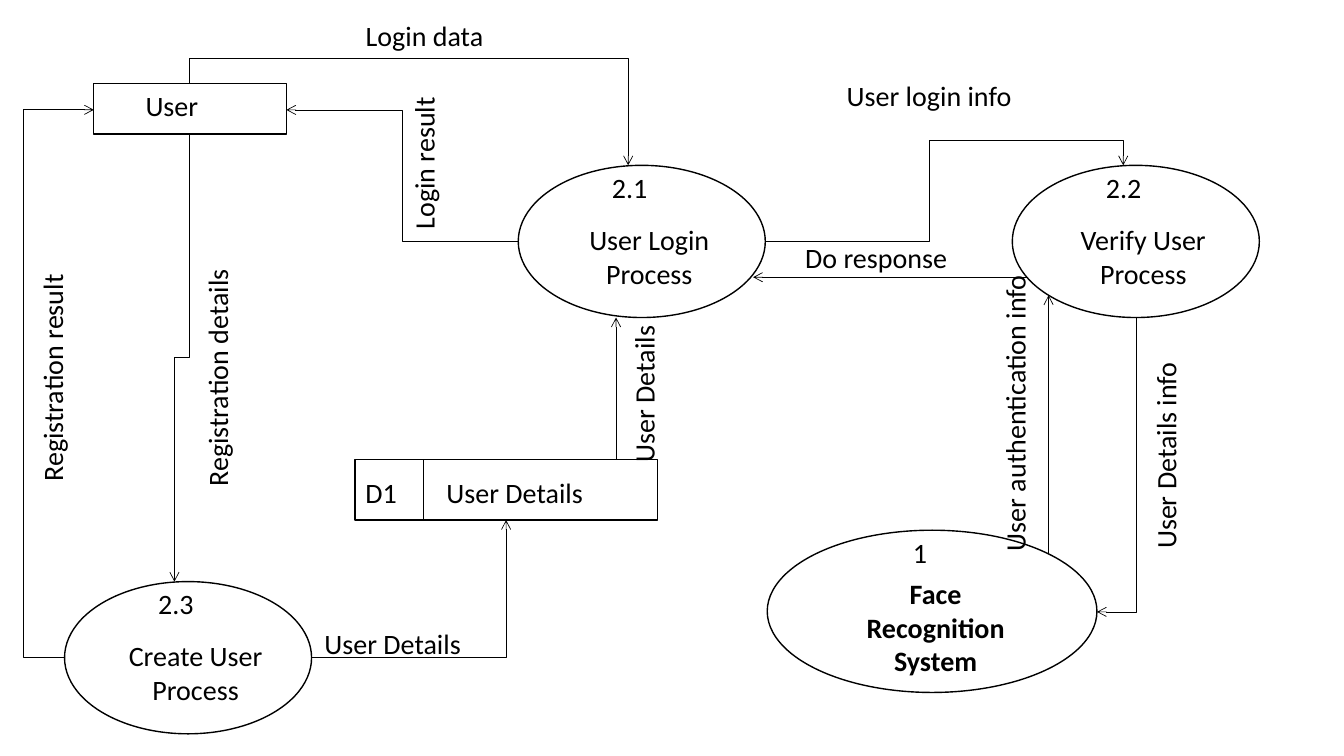
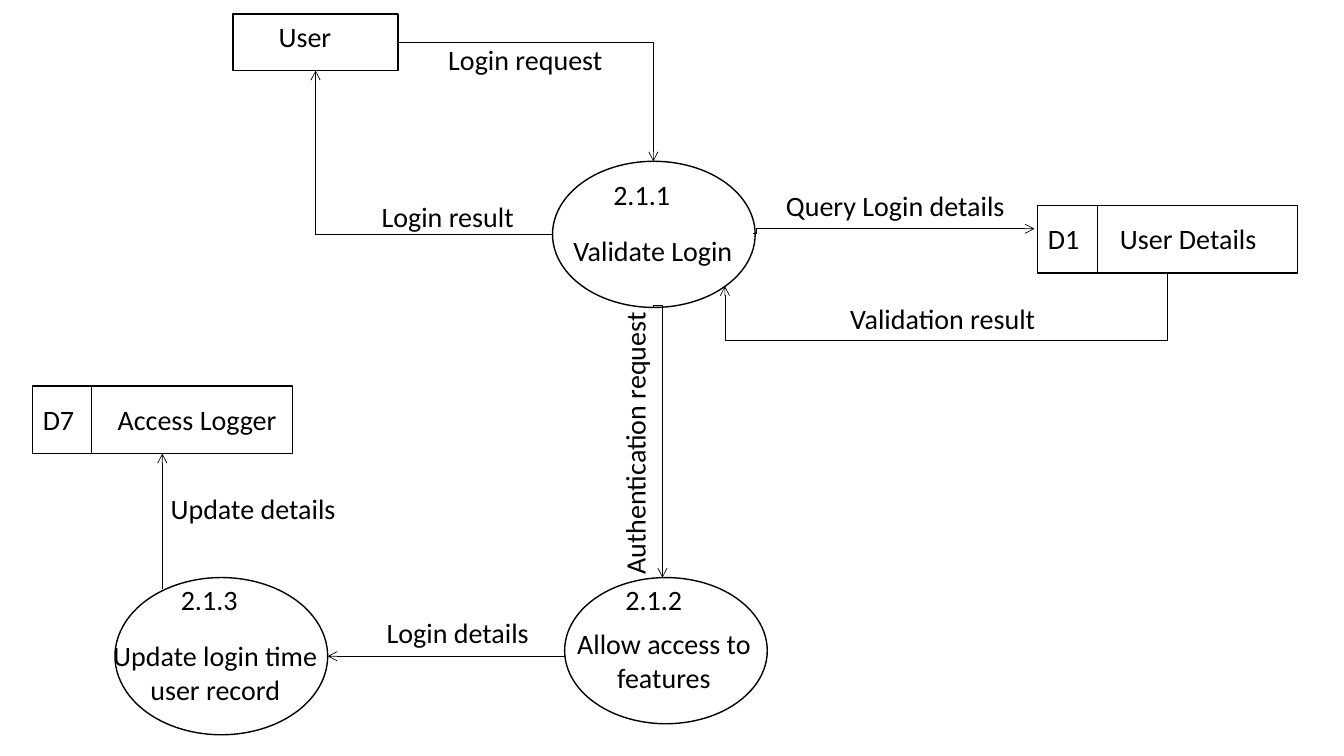
from lxml import etree
from pptx import Presentation
from pptx import util as u
from pptx.dml.color import RGBColor
from pptx.enum import shapes, text
from pptx.oxml.ns import qn

# Grid of square cells, a tenth of an inch each
COLUMNS, ROWS = 133.3, 75
LABEL_ROWS = 4.4


def color(hex_string):
    return RGBColor.from_string(hex_string)


class FlowDiagram:
    """Style of the data flow diagrams and the slide being drawn."""
    font, size, ink = "Calibri", 20, "000000"
    outline, thin = 1, 0.5

    def __init__(self):
        self.presentation = Presentation()
        self.presentation.slide_width = u.Inches(13.33)
        self.presentation.slide_height = u.Inches(7.5)
        self.cell = self.presentation.slide_height / ROWS
        self.slide = None

    def new_slide(self):
        layout = self.presentation.slide_layouts[6]
        self.slide = self.presentation.slides.add_slide(layout)

    def lengths(self, *cells):
        return [u.Emu(round(value * self.cell)) for value in cells]

    # Text and outlines
    def label(self, left, top, width, words, height=LABEL_ROWS,
              upright=False, wrap=False, bold=False):
        box = self.slide.shapes.add_textbox(
            *self.lengths(left, top, width, height))
        box.rotation = 270 if upright else 0
        frame = box.text_frame
        frame.text = words
        frame.word_wrap = wrap
        for paragraph in frame.paragraphs:
            paragraph.alignment = text.PP_ALIGN.CENTER
            for run in paragraph.runs:
                run.font.name = self.font
                run.font.size = u.Pt(self.size)
                run.font.bold = bold
                run.font.color.rgb = color(self.ink)

    def outlined(self, kind, left, top, width, height):
        shape = self.slide.shapes.add_shape(
            kind, *self.lengths(left, top, width, height))
        shape.shadow.inherit = False
        shape.fill.background()
        shape.line.color.rgb = color(self.ink)
        shape.line.width = u.Pt(self.outline)

    # Diagram symbols
    def entity(self, left, top, width, height, name, indent):
        self.outlined(shapes.MSO_SHAPE.RECTANGLE, left, top, width, height)
        self.label(left + indent, top, 7.3, name)

    def process(self, left, top, width, height, number, name, body,
                number_drop=0, bold=False):
        """body is the left, top and width of the name."""
        self.outlined(shapes.MSO_SHAPE.OVAL, left, top, width, height)
        number_width = 2.4 + 1.06 * len(number)
        number_left = left + (width - number_width) / 2 - 1.2
        self.label(number_left, top + number_drop, number_width, number)
        body_left, body_top, body_width = body
        self.label(body_left, body_top, body_width, name, 7.7,
                   wrap=True, bold=bold)

    def store(self, left, top, width, height, divider, code, name, name_width):
        self.outlined(shapes.MSO_SHAPE.RECTANGLE, left, top, width, height)
        split = left + divider
        self.flow((split, top), (split, top + height), arrow=False)
        self.label(left, top + 1.1, 5.2, code)
        self.label(split + 1.2, top + 1.1, name_width, name)

    # Straight or bent line through the given points
    def flow(self, *points, arrow=True):
        (x1, y1), (x2, y2) = points[0], points[-1]
        bent = len(points) > 2
        kind = shapes.MSO_CONNECTOR.ELBOW if bent else shapes.MSO_CONNECTOR.STRAIGHT
        connector = self.slide.shapes.add_connector(
            kind, *self.lengths(x1, y1, x2, y2))
        connector.line.color.rgb = color(self.ink)
        connector.line.width = u.Pt(self.thin)
        properties = connector.element.spPr
        if bent:
            self.bend(connector, points)
        if arrow:
            etree.SubElement(properties.find(qn("a:ln")), qn("a:tailEnd"),
                             type="arrow")
        etree.SubElement(properties, qn("a:effectLst"))

    def bend(self, connector, points):
        (x1, y1), (x2, y2) = points[0], points[-1]
        across, down = x2 - x1, y2 - y1
        width, height = abs(across), abs(down)
        x_share = [(x - x1) / across for x, y in points[1:-1]]
        y_share = [(y - y1) / down for x, y in points[1:-1]]
        if points[1][1] == y1:  # leaves sideways
            turn = 180 if across < 0 else 0
            flip_h, flip_v = False, (across < 0) != (down < 0)
            shares = [x_share[0], y_share[-1]]
        else:  # leaves downwards or upwards
            turn = 270 if across > 0 else 90
            flip_h, flip_v = across > 0, False
            shares = [y_share[0], x_share[-1]]
            width, height = height, width
        connector.left, connector.top, connector.width, connector.height = (
            self.lengths((x1 + x2 - width) / 2, (y1 + y2 - height) / 2,
                         width, height))
        frame = connector.element.spPr.find(qn("a:xfrm"))
        frame.set("rot", str(turn * 60000))
        frame.set("flipH", str(int(flip_h)))
        frame.set("flipV", str(int(flip_v)))
        geometry = connector.element.spPr.find(qn("a:prstGeom"))
        geometry.set("prst", f"bentConnector{len(points) - 1}")
        guides = geometry.find(qn("a:avLst"))
        names = {3: [], 4: ["adj1"], 5: ["adj1", "adj2"]}[len(points)]
        for name, share in zip(names, shares):
            etree.SubElement(guides, qn("a:gd"), name=name,
                             fmla=f"val {round(share * 100000)}")


diagram = FlowDiagram()

# Slide 1: login, registration and verification
diagram.new_slide()
diagram.entity(9.3, 8.3, 19.1, 5, "User", 4.1)
for left, top, number, name in [
        (51.4, 16.4, "2.1", "User Login\nProcess"),
        (100.4, 16.4, "2.2", "Verify User\nProcess"),
        (6.4, 57.7, "2.3", "Create User\nProcess")]:
    diagram.process(left, top, 24.5, 15.1, number, name,
                    (left - 1.2, top + 5.2, 28.4))
diagram.process(76.1, 52.6, 32.7, 16.1, "1", "Face\nRecognition\nSystem",
                (78.6, 56.7, 28.4), bold=True)
diagram.store(35.2, 45.6, 30, 6, 6.8, "D1", "User Details", 15.7)

for route in [
        [(18.8, 13.4), (18.8, 35.5), (17.3, 35.5), (17.3, 57.7)],
        [(6.4, 65.2), (2.3, 65.2), (2.3, 10.9), (9.3, 10.9)],
        [(30.9, 65.2), (50.2, 65.2), (50.2, 51.6)],
        [(18.8, 8.3), (18.8, 5.8), (62.3, 5.8), (62.3, 16.4)],
        [(51.4, 23.9), (39.9, 23.9), (39.9, 10.9), (28.4, 10.9)],
        [(75.9, 23.9), (92.2, 23.9), (92.2, 13.9), (111.4, 13.9), (111.4, 16.4)],
        [(112.7, 31.5), (112.7, 60.7), (108.8, 60.7)],
        [(104, 55), (104, 29.3)],
        [(61.1, 45.6), (61.1, 31.5)],
        [(102, 27.5), (74.7, 27.5)]]:
    diagram.flow(*route)

for left, top, width, words in [
        (31.1, 61.7, 15.7, "User Details"),
        (35.2, 1.3, 13.8, "Login data"),
        (82.9, 7.3, 18.5, "User login info"),
        (78.8, 23.4, 16.2, "Do response")]:
    diagram.label(left, top, width, words)
for left, top, width, words in [
        (56, 36.9, 15.7, "User Details"),
        (9.6, 35.3, 23.9, "Registration details"),
        (-6.2, 35.3, 22.8, "Registration result"),
        (34.4, 14, 15.3, "Login result"),
        (105.2, 43, 20.8, "User Details info"),
        (85.8, 38.8, 29.7, "User authentication info")]:
    diagram.label(left, top, width, words, upright=True)

# Slide 2: login validation
diagram.new_slide()
diagram.entity(23.1, 1.4, 16.4, 5.6, "User", 3.5)
diagram.process(54.8, 16, 20.1, 14.5, "2.1.1", "Validate Login",
                (52.5, 22.7, 24.5), number_drop=1.1)
diagram.process(56, 57.3, 20.1, 14.5, "2.1.2", "Allow access to features",
                (53.6, 61.7, 24.5))
diagram.process(11.4, 57.3, 21.1, 15.6, "2.1.3",
                "Update login time user record", (9.1, 62.9, 24.5))
diagram.store(102.9, 20.4, 25.8, 6.7, 5.9, "D1", "User Details", 15.7)
diagram.store(3.2, 38.3, 25.8, 6.7, 5.9, "D7", "Access Logger", 18.5)

for route in [
        [(74.7, 23.2), (75, 23.2), (75, 22.7), (102.6, 22.7)],
        [(115.8, 27.1), (115.8, 33.8), (71.9, 33.8), (71.9, 28.4)],
        [(54.8, 23.2), (31.3, 23.2), (31.3, 7)],
        [(39.6, 4.2), (64.8, 4.2), (64.8, 16)],
        [(64.8, 30.5), (64.8, 30.3), (65.7, 30.3), (65.7, 57.3)],
        [(56, 65.1), (32.5, 65.1)],
        [(16.1, 58.4), (16.1, 45)]]:
    diagram.flow(*route)

for left, top, words in [
        (74.7, 18.2, "Query Login details"),
        (79.4, 29.4, "Validation result"),
        (38, 3.7, "Login request"),
        (30.3, 19.3, "Login result"),
        (31.3, 60.6, "Login details"),
        (11, 48.3, "Update details")]:
    diagram.label(left, top, 28.2, words)
diagram.label(47.9, 41.8, 30.1, "Authentication request", upright=True)

diagram.presentation.save("out.pptx")
